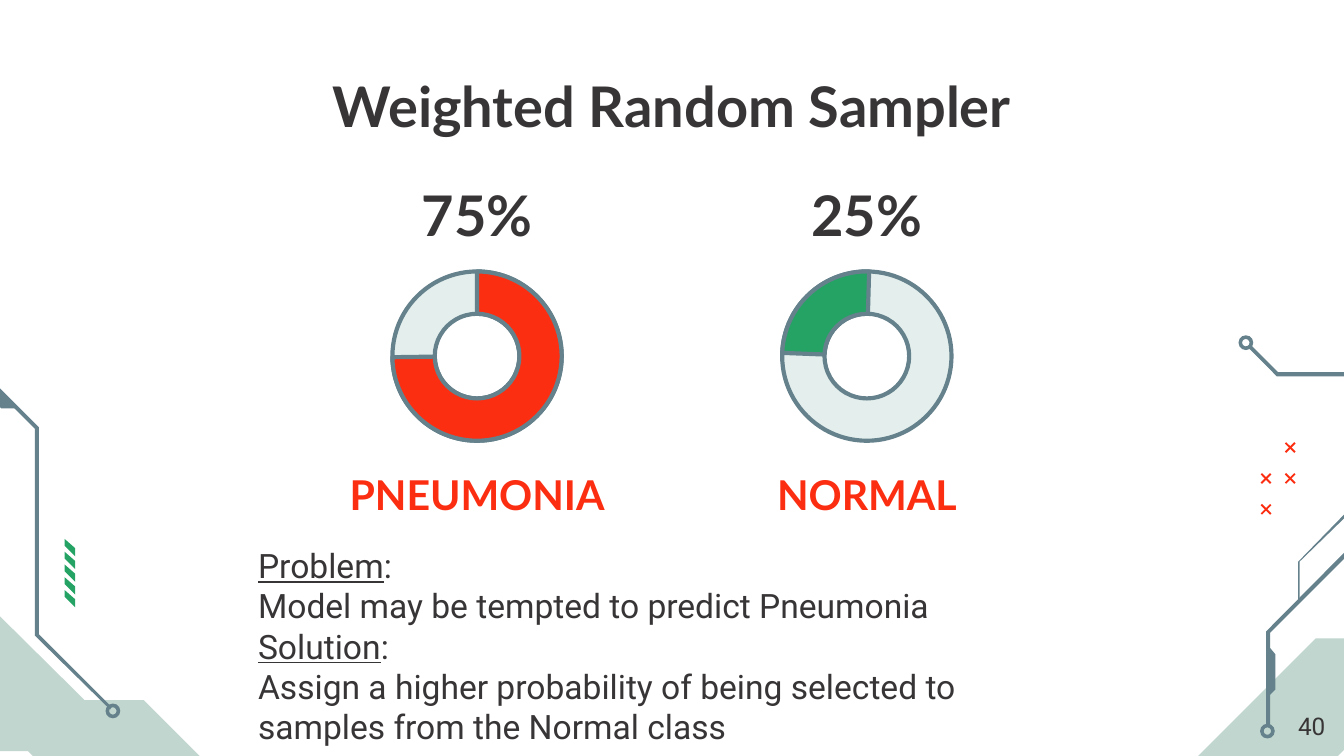
from lxml.etree import SubElement
from pptx import Presentation
from pptx.dml.color import RGBColor
from pptx.enum.shapes import MSO_SHAPE
from pptx.enum.text import MSO_ANCHOR, MSO_AUTO_SIZE, PP_ALIGN
from pptx.oxml.ns import qn
from pptx.util import Inches, Pt

COLORS = {
    "ink": "383536",
    "red": "FC2E12",
    "green": "24A364",
    "slate": "64818C",
    "sage": "C1D6CE",
    "pale": "E3EEED",
}

PANELS = [
    [(-0.38, 4.21), (0.63, 5.21), (1.07, 5.21), (1.64, 5.78), (1.64, 6.04), (2, 6.4),
     (1.02, 6.4), (0.21, 5.59), (-0.1, 5.59), (-0.69, 5), (-0.69, 4.84), (-1.32, 4.21)],
    [(10.83, 4.21), (10.29, 4.75), (9.79, 4.75), (8.69, 5.85), (9.72, 5.86),
     (10.04, 5.54), (10.16, 5.54), (11.48, 4.21)],
]
CIRCUITS = [
    [(-1.64, 1.83), (-1.64, 2.46), (-0.47, 2.46), (0.26, 3.19), (0.26, 4.73), (0.82, 5.28),
     (0.83, 5.26), (0.29, 4.72), (0.29, 3.18), (-0.45, 2.44), (-1.62, 2.44), (-1.62, 1.83)],
    [(-0.3, 2.61), (-0.3, 2.73), (0.01, 3.04), (0.13, 3.04)],
    [(9.44, 4.81), (9.49, 4.87), (9.49, 5.13), (9.44, 5.18)],
    [(11.87, 2.83), (11.89, 2.85), (11.1, 3.64), (11.1, 3.65), (10.51, 3.65), (9.45, 4.71),
     (9.45, 5.4), (9.42, 5.4), (9.42, 4.7), (10.49, 3.62), (11.08, 3.62)],
    [(10.32, 3.81), (10.32, 3.83), (10.03, 3.83), (9.67, 4.18), (9.67, 4.47),
     (9.66, 4.47), (9.66, 4.18), (10.02, 3.81)],
    [(9.31, 2.57), (9.29, 2.59), (9.5, 2.8), (10.84, 2.8), (11.17, 3.13), (11.19, 3.11),
     (10.85, 2.77), (9.51, 2.77)],
]
NODES = [(0.84, 5.29), (9.43, 5.44), (9.27, 2.55)]
CROSSES = [(9.42, 3.56), (9.42, 3.79), (9.6, 3.33), (9.6, 3.56)]
CROSS_BAR = [(0.04, 0.03), (-0.03, -0.04), (-0.04, -0.03), (0.03, 0.04)]
STRIPE = [(0.48, 4.01), (0.56, 4.08), (0.56, 4.14), (0.48, 4.06)]

CLASSES = [
    ("75%", "PNEUMONIA", "red", 3.55, 270, 179.26),
    ("25%", "NORMAL", "green", 6.45, 182.16, 271.56),
]
NOTES = [
    ("Problem", ":"),
    ("", "Model may be tempted to predict Pneumonia"),
    ("Solution", ":"),
    ("", "Assign a higher probability of being selected to samples from the Normal class"),
]


def rgb(name):
    """Return the named palette colour."""
    return RGBColor.from_string(COLORS[name])


def paint(shape, fill, outline=None):
    """Give a shape a flat fill and an optional outline."""
    shape.shadow.inherit = False
    shape.fill.solid()
    shape.fill.fore_color.rgb = rgb(fill)
    if outline:
        shape.line.color.rgb = rgb(outline)
        shape.line.width = Pt(2.25)
    else:
        shape.line.fill.background()


def add_polygon(slide, points, fill):
    """Draw a closed outline through points in inches."""
    corners = [(Inches(x), Inches(y)) for x, y in points]
    builder = slide.shapes.build_freeform(*corners[0])
    builder.add_line_segments(corners[1:], close=True)
    paint(builder.convert_to_shape(), fill)


def add_preset(slide, preset, center, size, adjustments, fill, outline=None):
    """Draw a round preset shape about its center."""
    left, top = (Inches(value - size / 2) for value in center)
    shape = slide.shapes.add_shape(preset, left, top, Inches(size), Inches(size))
    for index, value in enumerate(adjustments):
        shape.adjustments[index] = value
    paint(shape, fill, outline)


def add_decoration(slide):
    """Draw the circuit artwork at both edges."""
    for panel in PANELS:
        add_polygon(slide, panel, "sage")
    for circuit in CIRCUITS:
        add_polygon(slide, circuit, "slate")
    for node in NODES:
        add_preset(slide, MSO_SHAPE.DONUT, node, 0.11, [0.25], "slate")
    for row in range(5):
        add_polygon(slide, [(x, y + row * 0.095) for x, y in STRIPE], "green")
    for x, y in CROSSES:
        for side in (1, -1):
            add_polygon(slide, [(x + side * dx, y + dy) for dx, dy in CROSS_BAR], "red")


def set_frame(holder, box, anchor):
    """Place a text holder and return its text frame."""
    holder.left, holder.top, holder.width, holder.height = map(Inches, box)
    frame = holder.text_frame
    frame.word_wrap = True
    frame.auto_size = MSO_AUTO_SIZE.NONE
    frame.vertical_anchor = anchor
    frame.margin_left = frame.margin_right = Inches(0.1)
    frame.margin_top = frame.margin_bottom = Inches(0.1)
    return frame


def style_paragraph(paragraph, size, font="Lato", color="ink", align=PP_ALIGN.CENTER):
    """Set the paragraph layout and its common font."""
    paragraph.alignment = align
    paragraph.space_before = Pt(0)
    properties = paragraph._p.get_or_add_pPr()
    properties.set("marL", "0")
    properties.set("indent", "0")
    SubElement(properties, qn("a:buNone"))
    paragraph.font.size = Pt(size)
    paragraph.font.name = font
    paragraph.font.bold = font == "Lato"
    paragraph.font.color.rgb = rgb(color)


def write_line(holder, text, box, size, anchor=MSO_ANCHOR.MIDDLE, **style):
    """Write one styled line in a text holder."""
    frame = set_frame(holder, box, anchor)
    frame.text = text
    style_paragraph(frame.paragraphs[0], size, **style)


def write_notes(holder):
    """Write the problem and solution with underlined headings."""
    frame = set_frame(holder, (1.82, 4.07, 6.35, 1.47), MSO_ANCHOR.MIDDLE)
    for index, (heading, rest) in enumerate(NOTES):
        paragraph = frame.add_paragraph() if index else frame.paragraphs[0]
        style_paragraph(paragraph, 18, font="Roboto", align=PP_ALIGN.LEFT)
        if heading:
            run = paragraph.add_run()
            run.text = heading
            run.font.underline = True
        paragraph.add_run().text = rest


def add_text_box(slide):
    """Add an empty text box to be placed later."""
    return slide.shapes.add_textbox(0, 0, 0, 0)


def add_class(slide, label_holder, share, label, color, middle, start, end):
    """Show one class as a share, a ring and a label."""
    center = (middle, 2.65)
    left = middle - 1.25
    write_line(add_text_box(slide), share, (left, 1.3, 2.5, 0.58), 30)
    write_line(label_holder, label, (left, 3.47, 2.5, 0.41), 22, color="red")
    add_preset(slide, MSO_SHAPE.DONUT, center, 1.26, [0.25], "pale", "slate")
    arc = [start * 0.6, end * 0.6, 0.25]
    add_preset(slide, MSO_SHAPE.BLOCK_ARC, center, 1.26, arc, color, "slate")


def main():
    """Build and save the slide."""
    deck = Presentation()
    deck.slide_width = Inches(10)
    deck.slide_height = Inches(10 * 9 / 16)
    slide = deck.slides.add_slide(deck.slide_layouts.get_by_name("Comparison"))
    title, first_label, notes, second_label, spare = slide.placeholders
    spare._element.getparent().remove(spare._element)
    add_decoration(slide)
    write_line(title, "Weighted Random Sampler", (0.79, 0.43, 8.42, 0.65), 30,
               anchor=MSO_ANCHOR.TOP)
    for holder, details in zip((first_label, second_label), CLASSES):
        add_class(slide, holder, *details)
    write_notes(notes)
    write_line(add_text_box(slide), "40", (9.36, 5.19, 0.6, 0.43), 13,
               anchor=MSO_ANCHOR.TOP, font="Roboto", align=PP_ALIGN.RIGHT)
    deck.save("out.pptx")


if __name__ == "__main__":
    main()
